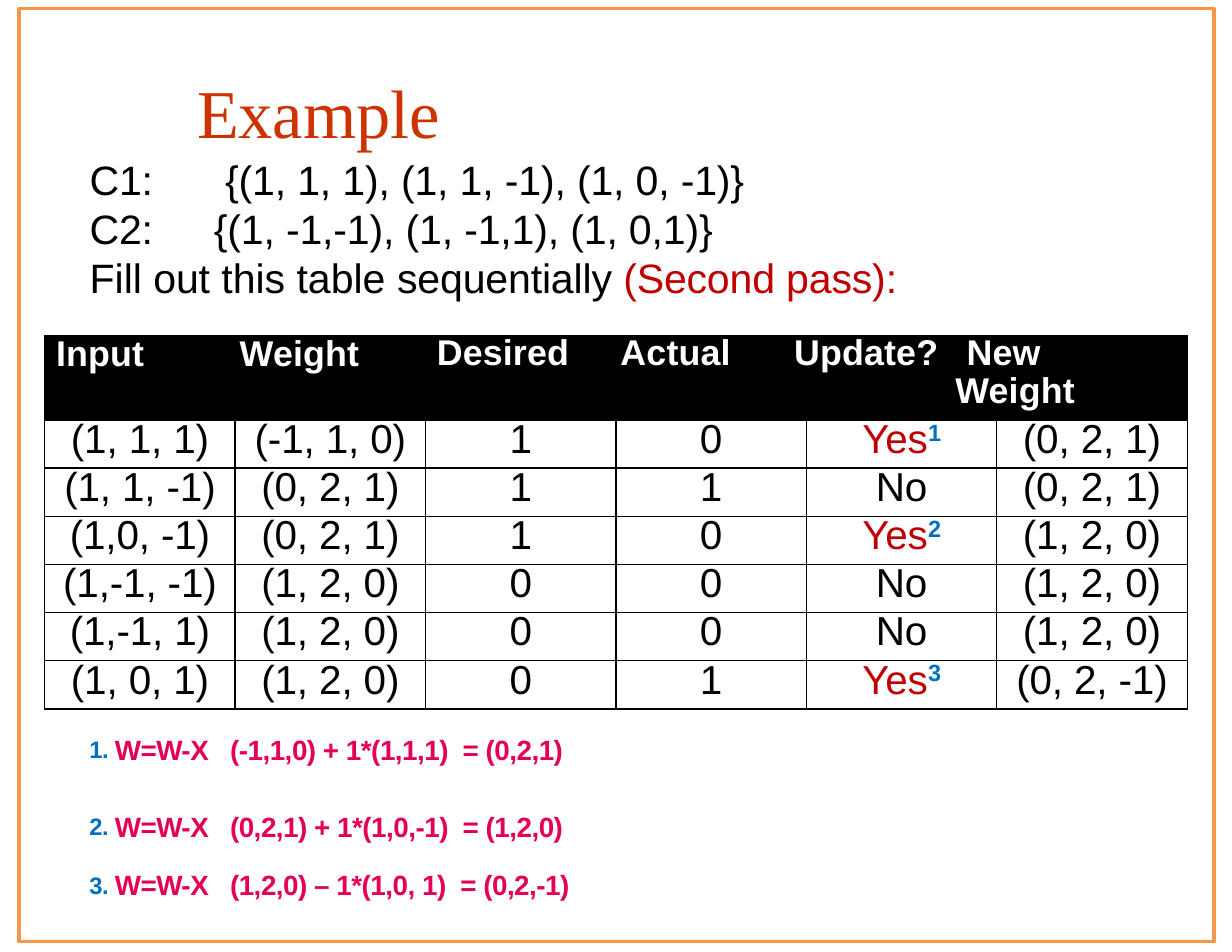
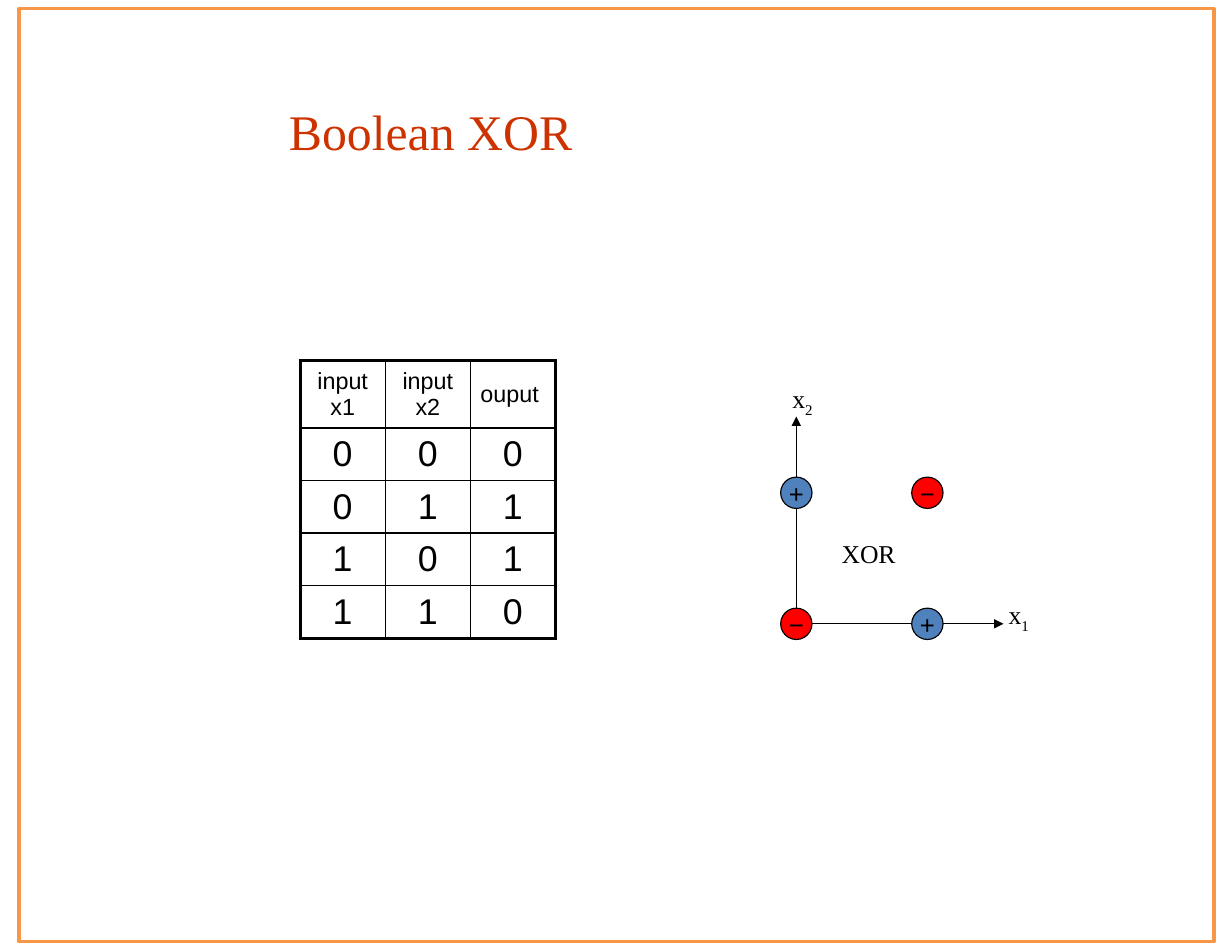
"""Build two slides on perceptron training: a worked second pass and Boolean XOR."""
from pptx import Presentation
from pptx.dml.color import RGBColor
from pptx.enum.shapes import MSO_CONNECTOR, MSO_SHAPE
from pptx.enum.text import MSO_ANCHOR as ANCHOR, MSO_AUTO_SIZE as AUTO_SIZE, PP_ALIGN as ALIGN
from pptx.oxml.ns import qn
from pptx.util import Inches, Pt
from lxml.etree import SubElement

BLACK, WHITE, RED, BLUE = "000000", "FFFFFF", "C00000", "0070C0"
TITLE, PINK, ORANGE = "CC3300", "E40059", "F79646"
SANS, SERIF = "Arial", "Times New Roman"
colour = RGBColor.from_string


def add_span(para, text, size, shade=BLACK, font=SANS, bold=False, base=0, spacing=0):
    span = para.add_run()
    span.text = text
    span.font.size = Pt(size)
    span.font.name = font
    span.font.bold = bold
    span.font.color.rgb = colour(shade)
    props = span.font._element
    if base:
        props.set("baseline", str(base * 1000))
    if spacing:
        props.set("spc", str(round(spacing * 100)))


def style_cell(cell, borders, margins, fill=None):
    props = cell._tc.get_or_add_tcPr()
    for side, width in zip("LRTB", borders):
        line = SubElement(props, qn(f"a:ln{side}"), w=str(Pt(width)))
        SubElement(SubElement(line, qn("a:solidFill")), qn("a:srgbClr"), val=BLACK)
    if fill:
        cell.fill.solid()
        cell.fill.fore_color.rgb = colour(fill)
    else:
        cell.fill.background()
    cell.margin_left = cell.margin_right = Inches(margins[0])
    cell.margin_top = cell.margin_bottom = Inches(margins[1])


deck = Presentation()
deck.slide_width, deck.slide_height = Inches(11), Inches(8.5)

titles = [
    ("Example", 44, (1.74, 0.61, 2.41, 0.76), 0.02, -0.1),
    ("Boolean XOR", 32, (2.58, 0.9, 5.66, 0.54), 0, 0),
]
for text, size, place, inset, spacing in titles:
    page = deck.slides.add_slide(deck.slide_layouts[5])
    title = page.shapes.title
    title.left, title.top, title.width, title.height = map(Inches, place)
    frame = title.text_frame
    frame.auto_size = AUTO_SIZE.NONE
    frame.word_wrap = True
    frame.vertical_anchor = ANCHOR.TOP
    frame.margin_left = frame.margin_right = frame.margin_bottom = 0
    frame.margin_top = Inches(inset)
    para = frame.paragraphs[0]
    para.alignment = ALIGN.LEFT
    para.space_before = Pt(1.1 if inset else 0)
    para._p.get_or_add_pPr().set("marL", str(Inches(inset)))
    add_span(para, text, size, TITLE, SERIF, spacing=spacing)
example, xor = deck.slides

box = example.shapes.add_textbox(Inches(0.78), Inches(1.36), Inches(7.29), Inches(1.33))
frame = box.text_frame
frame.word_wrap = True
frame.margin_left = frame.margin_right = frame.margin_bottom = 0
frame.margin_top = Inches(0.02)
intro = [
    ([("C1:\t{(1, 1, 1), (1, 1, -1), (1, 0, -1)}", BLACK, -0.1)], 1.21),
    ([("C2:\t{(1, -1,-1), (1, -1,1), (1, 0,1)}", BLACK, -0.1)], 1.11),
    ([("Fill ", BLACK, 0), ("out ", BLACK, -0.1), ("this table ", BLACK, 0),
      ("sequentially ", BLACK, -0.1), ("(Second pass):", RED, -0.1)], 1.11),
]
tabbed = []
for number, (spans, stop) in enumerate(intro):
    para = frame.add_paragraph() if number else frame.paragraphs[0]
    para.line_spacing = Pt(31.6)
    para.space_before = Pt(0 if number else 1.1)
    for text, shade, spacing in spans:
        add_span(para, text, 26.4, shade, spacing=spacing)
    tabbed.append((para, 0.02, [stop]))

passes = [
    ("(1, 1, 1)", "(-1, 1, 0)", "1", "0", "Yes1", "(0, 2, 1)"),
    ("(1, 1, -1)", "(0, 2, 1)", "1", "1", "No", "(0, 2, 1)"),
    ("(1,0, -1)", "(0, 2, 1)", "1", "0", "Yes2", "(1, 2, 0)"),
    ("(1,-1, -1)", "(1, 2, 0)", "0", "0", "No", "(1, 2, 0)"),
    ("(1,-1, 1)", "(1, 2, 0)", "0", "0", "No", "(1, 2, 0)"),
    ("(1, 0, 1)", "(1, 2, 0)", "0", "1", "Yes3", "(0, 2, -1)"),
]
table = example.shapes.add_table(7, 6, Inches(0.4), Inches(3), Inches(10.19), Inches(3.33)).table
table.horz_banding = False
table.first_row = False
for column in table.columns:
    column.width = Inches(1.7)
for number, row in enumerate(table.rows):
    row.height = Inches(0.43 if number else 0.75)
uprights = [1, 1.5, 1, 1, 1, 1, 0.75]
levels = [1] * 7 + [1.5]
for r in range(7):
    for c in range(6):
        borders = (*uprights[c:c + 2], *levels[r:r + 2])
        style_cell(table.cell(r, c), borders, (0, 0), None if r else BLACK)
table.cell(0, 0).merge(table.cell(0, 1))
table.cell(0, 2).merge(table.cell(0, 5))
left_head = table.cell(0, 0).text_frame.paragraphs[0]
right_head = table.cell(0, 2).text_frame.paragraphs[0]
second_line = table.cell(0, 2).text_frame.add_paragraph()
headings = [
    (left_head, "Input\tWeight", 24.3, 0.1, [1.64]),
    (right_head, "Desired\tActual\tUpdate?\tNew", 24, 0.1, [1.64, 3.19, 4.73]),
    (second_line, "Weight", 24.3, 4.73, []),
]
for para, text, spacing, indent, stops in headings:
    para.line_spacing = Pt(spacing)
    add_span(para, text, 23, WHITE, bold=True, spacing=0.1)
    tabbed.append((para, indent, stops))
for r, values in enumerate(passes, 1):
    for c, value in enumerate(values):
        para = table.cell(r, c).text_frame.paragraphs[0]
        para.alignment = ALIGN.CENTER
        para.line_spacing = Pt(26.9)
        if value.startswith("Yes"):
            add_span(para, "Yes", 26, RED, spacing=-0.1)
            add_span(para, value[3:], 26, BLUE, bold=True, base=30, spacing=-0.1)
        else:
            add_span(para, value, 26, spacing=0 if len(value) == 1 else -0.1)

for para, indent, stops in tabbed:
    props = para._p.get_or_add_pPr()
    props.set("marL", str(Inches(indent)))
    if stops:
        tabs = SubElement(props, qn("a:tabLst"))
        for stop in stops:
            SubElement(tabs, qn("a:tab"), pos=str(Inches(stop)), algn="l")

updates = [
    (6.22, 0.62, 0, "W=W-X   (-1,1,0) + 1*(1,1,1)  = (0,2,1)"),
    (6.91, 0.45, 3.4, "W=W-X   (0,2,1) + 1*(1,0,-1)  = (1,2,0)"),
    (7.43, 0.45, 3.4, "W=W-X   (1,2,0) – 1*(1,0, 1)  = (0,2,-1)"),
]
for number, (top, height, before, text) in enumerate(updates, 1):
    box = example.shapes.add_textbox(Inches(0.65), Inches(top), Inches(5.89), Inches(height))
    box.text_frame.word_wrap = True
    para = box.text_frame.paragraphs[0]
    para.space_before = Pt(before)
    para._p.get_or_add_pPr().set("marL", str(Inches(0.05)))
    add_span(para, f"{number}. ", 26.4, BLUE, bold=True, base=-21, spacing=-0.3)
    add_span(para, text, 30.8, PINK, bold=True, base=-21, spacing=-0.3)

truth = [("input x1", "input x2", "ouput "), "000", "011", "101", "110"]
table = xor.shapes.add_table(5, 3, Inches(2.68), Inches(3.22), Inches(2.27), Inches(2.47)).table
table.horz_banding = False
table.first_row = False
for column in table.columns:
    column.width = Inches(0.76)
uprights = [2.25, 1, 1, 2.25]
levels = [2.25, 1, 1, 1, 1, 2.25]
for r, values in enumerate(truth):
    table.rows[r].height = Inches(0.47 if r else 0.6)
    for c, value in enumerate(values):
        cell = table.cell(r, c)
        style_cell(cell, (*uprights[c:c + 2], *levels[r:r + 2]), (0.08, 0.04))
        cell.vertical_anchor = ANCHOR.MIDDLE
        para = cell.text_frame.paragraphs[0]
        para.alignment = ALIGN.CENTER
        add_span(para, value, 23 if r else 15)

plot = xor.shapes.add_group_shape().shapes
labels = [
    (8.9, 5.3, 0.39, "x", "1"),
    (6.97, 3.37, 0.39, "x", "2"),
    (7.41, 4.75, 0.69, "XOR", ""),
]
for left, top, width, text, index in labels:
    box = plot.add_textbox(Inches(left), Inches(top), Inches(width), Inches(0.38))
    box.text_frame.word_wrap = False
    para = box.text_frame.paragraphs[0]
    para.alignment = ALIGN.CENTER
    add_span(para, text, 16.5, font=SERIF)
    if index:
        add_span(para, index, 16.5, font=SERIF, base=-25)

origin_x, origin_y, unit, size = 7.11, 5.57, 1.17, 0.28
for end_x, end_y in [(8.96, origin_y), (origin_x, 3.72)]:
    axis = plot.add_connector(MSO_CONNECTOR.STRAIGHT, *map(Inches, (origin_x, origin_y, end_x, end_y)))
    axis.line.color.rgb = colour(BLACK)
    axis.line.width = Pt(0.75)
    SubElement(axis.line._get_or_add_ln(), qn("a:tailEnd"), type="triangle")
    SubElement(axis._element.spPr, qn("a:effectLst"))

for x1, x2 in [(1, 0), (0, 0), (0, 1), (1, 1)]:
    left = origin_x + x1 * unit - size / 2
    top = origin_y - x2 * unit - size / 2
    point = plot.add_shape(MSO_SHAPE.OVAL, *map(Inches, (left, top, size, size)))
    point.shadow.inherit = False
    point.fill.solid()
    point.fill.fore_color.rgb = colour("4F81BD" if x1 != x2 else "FF0000")
    point.line.color.rgb = colour(BLACK)
    point.line.width = Pt(0.75)
    point.text_frame.word_wrap = False
    point.text_frame.vertical_anchor = ANCHOR.MIDDLE
    para = point.text_frame.paragraphs[0]
    para.alignment = ALIGN.CENTER
    add_span(para, "+" if x1 != x2 else "−", 16.5)

for page in deck.slides:
    border = page.shapes.add_shape(MSO_SHAPE.RECTANGLE, *map(Inches, (0.17, 0.08, 10.67, 8.33)))
    border.shadow.inherit = False
    border.fill.background()
    border.line.color.rgb = colour(ORANGE)
    border.line.width = Pt(2)

deck.save("out.pptx")
